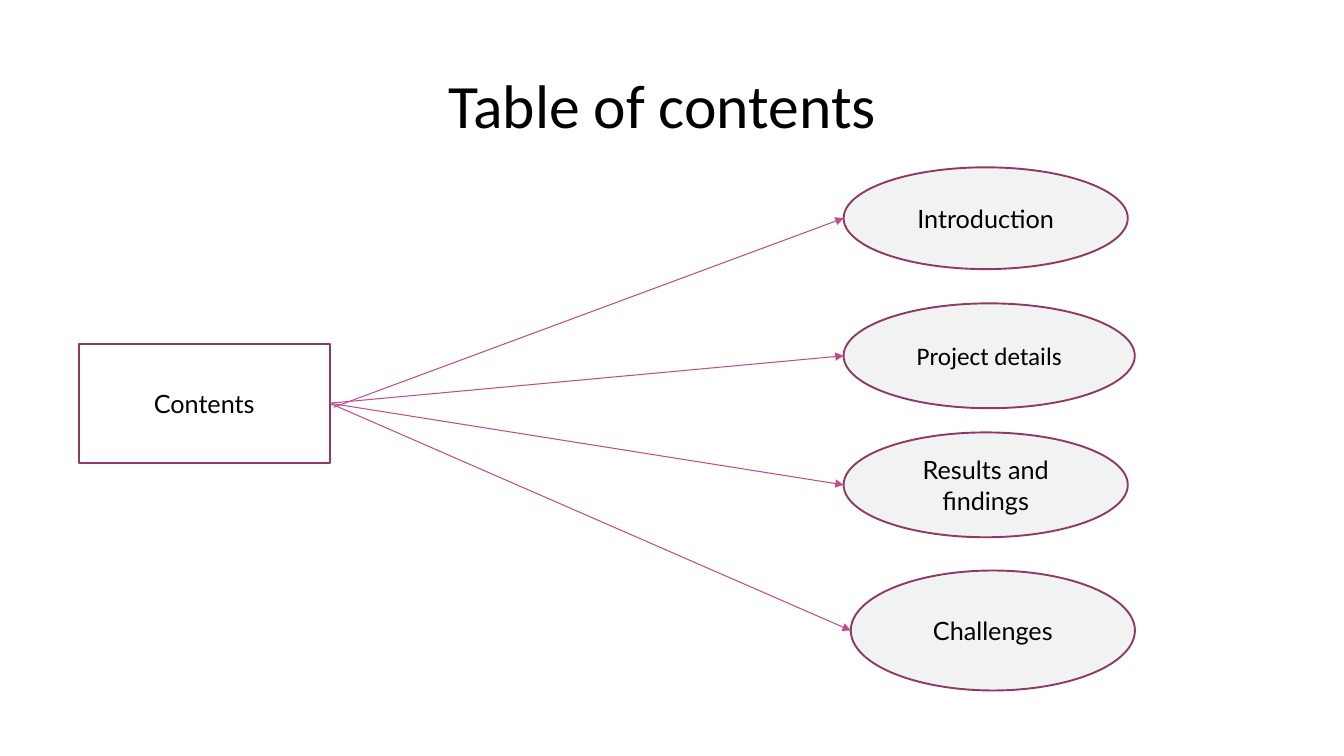
from typing import NamedTuple

from lxml.etree import SubElement
from pptx import Presentation
from pptx.dml.color import RGBColor as Rgb
from pptx.enum.shapes import MSO_CONNECTOR as Link, MSO_SHAPE as Form
from pptx.enum.text import MSO_ANCHOR as Anchor, MSO_AUTO_SIZE as Fit, PP_ALIGN as Align
from pptx.oxml.ns import qn
from pptx.shapes.autoshape import Shape
from pptx.slide import Slide
from pptx.util import Pt

HUES = {
    "white": "FFFFFF",
    "mist": "F0F3F2",
    "plum": "903967",
    "pink": "C34D8B",
    "black": "000000",
}


class Box(NamedTuple):
    text: str
    left: float
    top: float
    width: float
    height: float
    font: str = "Lato"
    fill: str = "mist"
    form: Form = Form.OVAL


class Arrow(NamedTuple):
    goal: Box
    start: tuple[float, float] | None = None


TITLE = Box("Table of contents", 226, 44.6, 494, 60.5, "Calibri")
ROOT = Box("Contents", 56.2, 245.5, 179.3, 85, fill="white", form=Form.RECTANGLE)
INTRO = Box("Introduction", 602.6, 119.5, 203, 72.7)
DETAILS = Box("Project details", 602.6, 216.7, 208, 74.9, "Calibri")
RESULTS = Box("Results and findings", 602.6, 308.9, 203, 74.9)
HURDLES = Box("Challenges", 607.7, 407.5, 203, 85.7)
TOPICS = [INTRO, DETAILS, HURDLES, RESULTS]
ARROWS = [Arrow(INTRO, (238.3, 290.9)), Arrow(RESULTS), Arrow(DETAILS), Arrow(HURDLES)]


def tint(name: str) -> Rgb:
    return Rgb.from_string(HUES[name])


def write(shape: Shape, box: Box, size: float) -> None:
    frame = shape.text_frame
    frame.text = box.text
    frame.word_wrap = True
    line = frame.paragraphs[0]
    line.alignment = Align.CENTER
    font = line.runs[0].font
    font.name = box.font
    font.size = Pt(size)
    font.color.rgb = tint("black")


def place(box: Box) -> tuple[Pt, ...]:
    return Pt(box.left), Pt(box.top), Pt(box.width), Pt(box.height)


def add_title(slide: Slide, box: Box) -> None:
    shape = slide.shapes.add_textbox(*place(box))
    write(shape, box, 44)
    shape.text_frame.auto_size = Fit.SHAPE_TO_FIT_TEXT


def add_box(slide: Slide, box: Box) -> Shape:
    shape = slide.shapes.add_shape(box.form, *place(box))
    shape.shadow.inherit = False
    shape.fill.solid()
    shape.fill.fore_color.rgb = tint(box.fill)
    shape.line.color.rgb = tint("plum")
    shape.line.width = Pt(1.35)
    write(shape, box, 18)
    shape.text_frame.vertical_anchor = Anchor.MIDDLE
    return shape


def add_arrow(slide: Slide, arrow: Arrow, root: Shape) -> None:
    goal = arrow.goal
    x, y = arrow.start or (ROOT.left + ROOT.width, ROOT.top + ROOT.height / 2)
    link = slide.shapes.add_connector(
        Link.STRAIGHT, Pt(x), Pt(y), Pt(goal.left), Pt(goal.top + goal.height / 2)
    )
    if arrow.start is None:
        link.begin_connect(root, 3)
    link.line.color.rgb = tint("pink")
    link.line.width = Pt(0.75)
    SubElement(link.line._get_or_add_ln(), qn("a:tailEnd"), type="triangle")
    SubElement(link._element.spPr, qn("a:effectLst"))


def main() -> None:
    deck = Presentation()
    deck.slide_width, deck.slide_height = Pt(960), Pt(540)
    slide = deck.slides.add_slide(deck.slide_layouts[6])
    add_title(slide, TITLE)
    root = add_box(slide, ROOT)
    for topic in TOPICS:
        add_box(slide, topic)
    for arrow in ARROWS:
        add_arrow(slide, arrow, root)
    deck.save("out.pptx")


if __name__ == "__main__":
    main()
